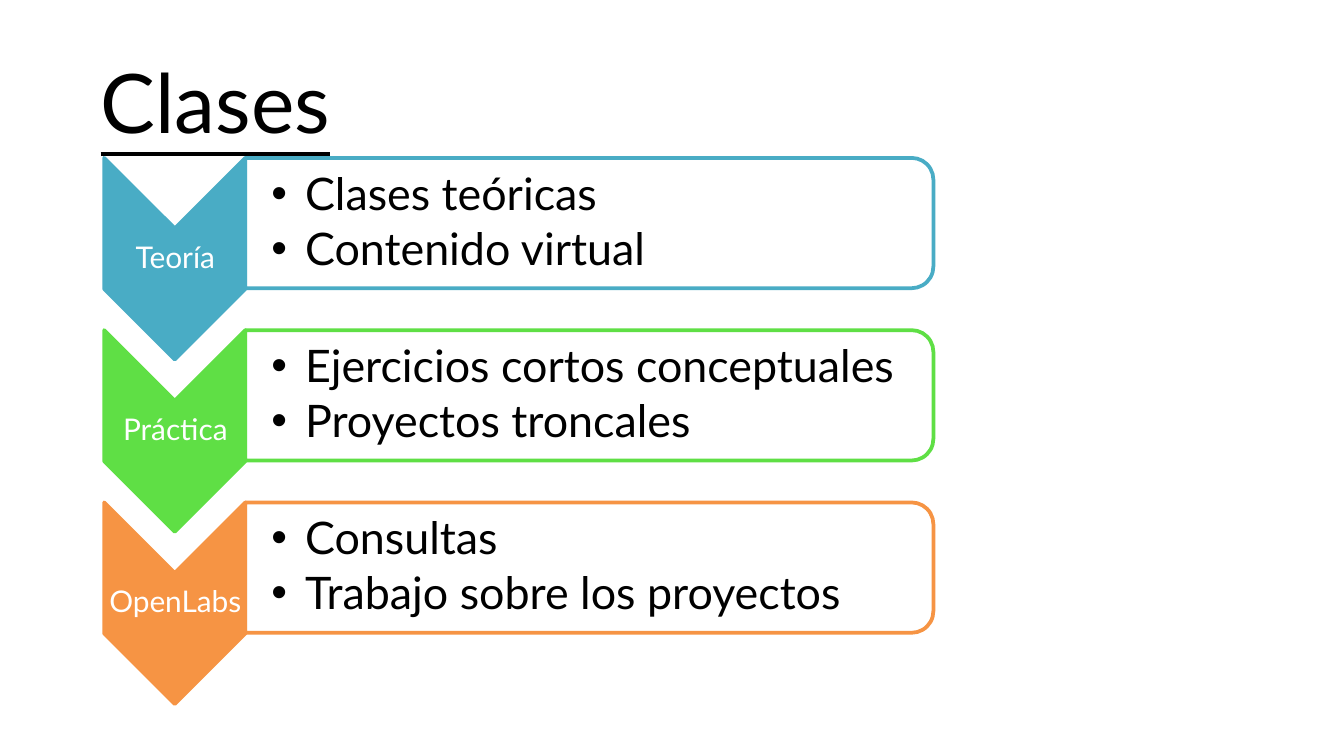
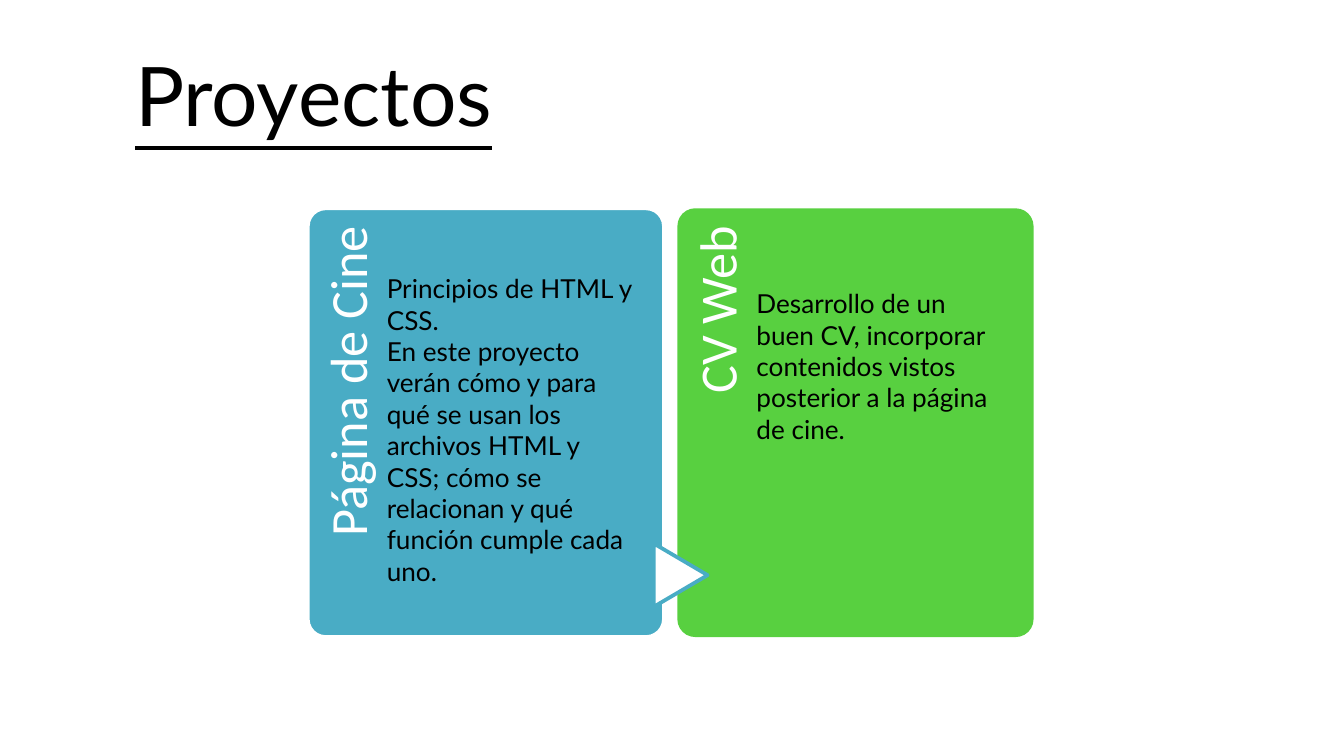
"""Build two slides: the kinds of class as a chevron list, and the two projects as linked cards."""
from lxml.etree import SubElement
from pptx import Presentation
from pptx.dml.color import RGBColor
from pptx.enum.shapes import MSO_SHAPE
from pptx.enum.text import MSO_ANCHOR, PP_ALIGN
from pptx.oxml.ns import qn
from pptx.util import Inches, Pt

COLOURS = {
    "black": "000000",
    "white": "FFFFFF",
    "blue": "49ACC5",
    "lime": "5FDF45",
    "green": "58D040",
    "orange": "F69444",
}
TITLE = {"size": 44, "underline": True}
CHEVRON_LABEL = {"size": 16, "colour": "white", "align": PP_ALIGN.CENTER,
                 "anchor": MSO_ANCHOR.MIDDLE, "spacing": 0.9, "insets": (0.1, 0.1, 0.1, 0.1)}
PANEL_LIST = {"size": 24, "anchor": MSO_ANCHOR.MIDDLE, "spacing": 0.9, "gap": 3.6,
              "bullet": True, "insets": (1.9, 0.2, 0.2, 0.2)}
CARD_NAME = {"size": 28, "font": "Calibri", "colour": "white", "align": PP_ALIGN.RIGHT,
             "spacing": 0.9, "rotation": 270, "insets": (0, 1, 1.4, 0)}
CARD_BODY = {"size": 14}

deck = Presentation()
deck.slide_width, deck.slide_height = Inches(10), Inches(5.625)
cell = deck.slide_width / 100


def draw(page, kind, place, fill, line=None, rotation=0, adjustments=(), opacity=None):
    """Draw a preset shape at (column, row, columns, rows)."""
    shape = page.shapes.add_shape(kind, *[int(length * cell) for length in place])
    shape.shadow.inherit = False
    shape.rotation = rotation
    for index, value in enumerate(adjustments):
        shape.adjustments[index] = value
    shape.fill.solid()
    shape.fill.fore_color.rgb = RGBColor.from_string(COLOURS[fill])
    if opacity:
        colour = shape.fill._xPr.find(qn("a:solidFill"))[0]
        SubElement(colour, qn("a:alpha"), val=str(opacity * 1000))
    if line:
        shape.line.color.rgb = RGBColor.from_string(COLOURS[line])
        shape.line.width = Pt(2)
    else:
        shape.line.fill.background()


def write(page, place, *lines, size, font="Lato", colour="black", underline=None,
          align=PP_ALIGN.LEFT, anchor=MSO_ANCHOR.TOP, spacing=None, gap=0,
          bullet=False, rotation=0, insets=(1, 0.5, 1, 0.5)):
    """Write one paragraph per line in a text box at (column, row, columns, rows)."""
    box = page.shapes.add_textbox(*[int(length * cell) for length in place])
    box.rotation = rotation
    frame = box.text_frame
    frame.word_wrap = True
    frame.vertical_anchor = anchor
    frame.margin_left, frame.margin_top, frame.margin_right, frame.margin_bottom = [
        int(inset * cell) for inset in insets]
    for index, line in enumerate(lines):
        para = frame.add_paragraph() if index else frame.paragraphs[0]
        para.alignment = align
        para.line_spacing = spacing
        para.space_before = Pt(gap if index else 0)
        if bullet:
            properties = para._p.get_or_add_pPr()
            properties.set("marL", str(int(2.5 * cell)))
            properties.set("indent", str(int(-2.5 * cell)))
            SubElement(properties, qn("a:buFont"), typeface="Arial")
            SubElement(properties, qn("a:buChar"), char="•")
        span = para.add_run()
        span.text = line
        span.font.name = font
        span.font.size = Pt(size)
        span.font.underline = underline
        span.font.color.rgb = RGBColor.from_string(COLOURS[colour])


blank = deck.slide_layouts[6]

page = deck.slides.add_slide(blank)
write(page, (6.5, 3.3, 43.5, 8.4), "Clases", **TITLE)
classes = [
    ("Teoría", "blue", ("Clases teóricas", "Contenido virtual")),
    ("Práctica", "lime", ("Ejercicios cortos conceptuales", "Proyectos troncales")),
    ("OpenLabs", "orange", ("Consultas", "Trabajo sobre los proyectos")),
]
for index, (label, colour, topics) in enumerate(classes):
    row = 11.7 + index * 12.82
    draw(page, MSO_SHAPE.CHEVRON, (5.5, row + 2.3, 15, 10.5), colour, line=colour,
         rotation=90, adjustments=[0.5])
    write(page, (7.8, row + 5.3, 10.5, 4.5), label, **CHEVRON_LABEL)
    draw(page, MSO_SHAPE.ROUND_2_SAME_RECTANGLE, (39, row - 20.7, 9.7, 51.2), "white",
         line=colour, rotation=90, adjustments=[0.167, 0], opacity=90)
    write(page, (18.3, row + 0.5, 50.7, 8.8), *topics, **PANEL_LIST)

page = deck.slides.add_slide(blank)
projects = [
    ("CV Web", "green", None, 50.4, 40, (55.3, 20.9, 20.3, 19.9),
     ["Desarrollo de un buen CV, incorporar contenidos vistos posterior a la página de cine."]),
    ("Página de Cine", "blue", "white", 22.9, 12.5, (27.8, 19.8, 20.3, 22.2),
     ["Principios de HTML y CSS.",
      "En este proyecto verán cómo y para qué se usan los archivos HTML y CSS; "
      "cómo se relacionan y qué función cumple cada uno."]),
]
for name, colour, border, column, name_column, body_place, body in projects:
    draw(page, MSO_SHAPE.ROUNDED_RECTANGLE, (column, 15.5, 26.5, 31.9), colour,
         line=border, adjustments=[0.05])
    write(page, (name_column, 25.9, 26.2, 5.3), name, **CARD_NAME)
    write(page, body_place, *body, **CARD_BODY)
draw(page, MSO_SHAPE.FLOWCHART_EXTRACT, (48.3, 40.8, 4.7, 4), "white", line="blue", rotation=90)
write(page, (7, 2.3, 32.7, 9.4), "Proyectos", align=PP_ALIGN.CENTER,
      anchor=MSO_ANCHOR.MIDDLE, **TITLE)

deck.save("out.pptx")
